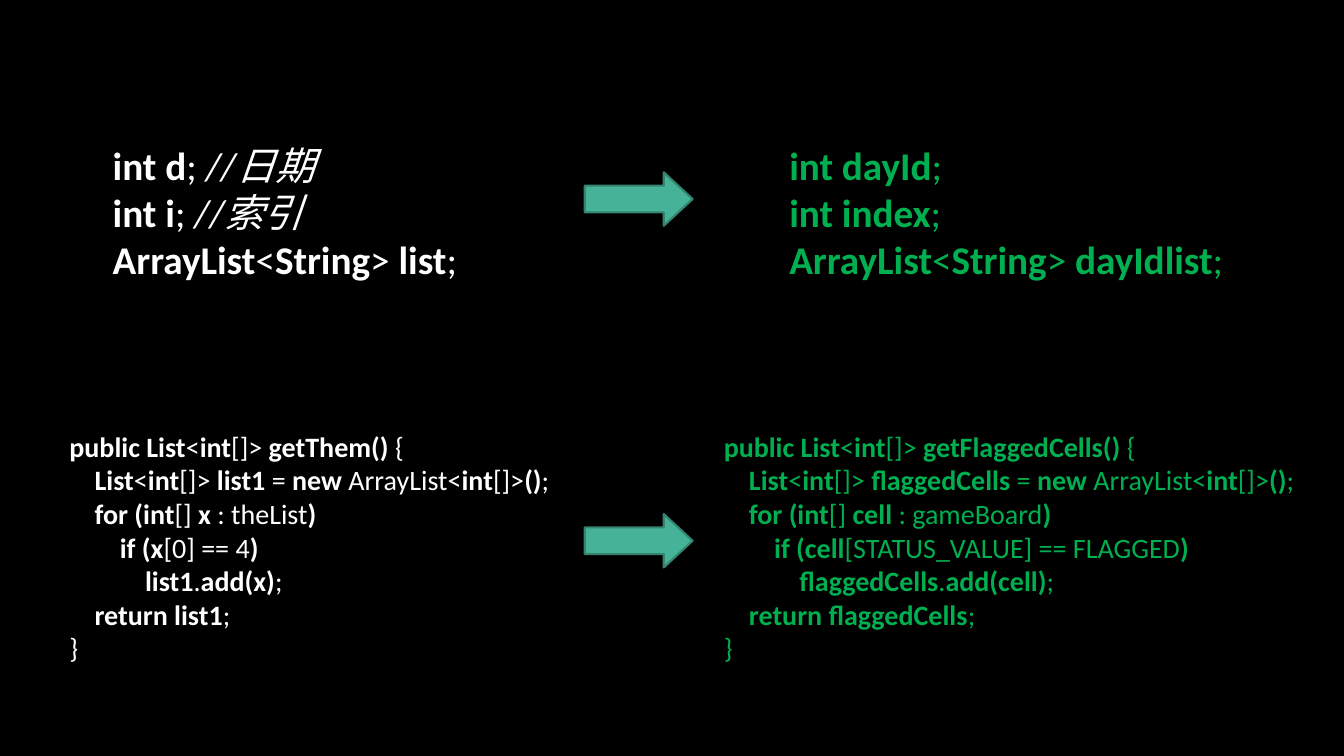
from pptx import Presentation
from pptx.dml.color import RGBColor
from pptx.enum import shapes, text
from pptx.util import Inches, Pt

WHITE, GREEN = "FFFFFF", "00B050"
ARROW_FILL, ARROW_LINE = "46B298", "348470"
INDENT = 0.25  # inches per code level

VAGUE_DECLARATIONS = [
    (0, "*int d*; **//日期"),
    (0, "*int i*; **//索引"),
    (0, "*ArrayList*<*String*> *list*;"),
]
CLEAR_DECLARATIONS = [
    (0, "*int dayId*;"),
    (0, "*int index*;"),
    (0, "*ArrayList*<*String*> *dayIdlist*;"),
]
METHOD = [
    (0, "*public List*<*int*[]> *%(method)s() *{"),
    (1, "*List*<*int*[]> *%(result)s *= *new *ArrayList<*int*[]>*()*;"),
    (1, "*for (int*[] *%(item)s *: %(source)s*)*"),
    (2, "*if (%(item)s*[%(index)s] == %(value)s*)*"),
    (3, "*%(result)s*.*add(%(item)s)*;"),
    (1, "*return %(result)s*;"),
    (0, "}"),
]
VAGUE_NAMES = {"method": "getThem", "result": "list1", "item": "x",
               "source": "theList", "index": "0", "value": "4"}
CLEAR_NAMES = {"method": "getFlaggedCells", "result": "flaggedCells",
               "item": "cell", "source": "gameBoard",
               "index": "STATUS_VALUE", "value": "FLAGGED"}


def rgb(value):
    return RGBColor.from_string(value)


def name_method(names):
    return [(level, line % names) for level, line in METHOD]


def add_code_line(paragraph, line, size, color):
    """Write one line; asterisks switch bold, and comments are italic."""
    for position, part in enumerate(line.split("*")):
        if not part:
            continue
        run = paragraph.add_run()
        run.text = part
        run.font.color.rgb = rgb(color)
        formats = {"name": "Calibri", "size": Pt(size),
                   "bold": position % 2 == 1, "italic": part.startswith("//")}
        for name, value in formats.items():
            setattr(run.font, name, value)


def add_code(slide, box, lines, size, color):
    shape = slide.shapes.add_textbox(*map(Inches, box))
    frame = shape.text_frame
    frame.word_wrap = True
    frame.auto_size = text.MSO_AUTO_SIZE.SHAPE_TO_FIT_TEXT
    for number, (level, line) in enumerate(lines):
        paragraph = frame.add_paragraph() if number else frame.paragraphs[0]
        if level:
            properties = paragraph._p.get_or_add_pPr()
            properties.set("marL", str(Inches(INDENT * level)))
            properties.set("indent", "0")
        add_code_line(paragraph, line, size, color)


def add_arrow(slide, top):
    arrow = slide.shapes.add_shape(
        shapes.MSO_SHAPE.RIGHT_ARROW,
        Inches(5.8), Inches(top), Inches(1.07), Inches(0.53))
    arrow.adjustments[1] = 0.54
    arrow.shadow.inherit = False
    arrow.fill.solid()
    arrow.fill.fore_color.rgb = rgb(ARROW_FILL)
    arrow.line.color.rgb = rgb(ARROW_LINE)
    arrow.line.width = Pt(1.5)


def main():
    presentation = Presentation()
    presentation.slide_width = Inches(13.33)
    presentation.slide_height = Inches(7.5)
    slide = presentation.slides.add_slide(presentation.slide_layouts[6])
    slide.background.fill.solid()
    slide.background.fill.fore_color.rgb = rgb("000000")

    add_code(slide, (1.02, 1.35, 4.57, 1.51), VAGUE_DECLARATIONS, 28, WHITE)
    add_code(slide, (7.73, 1.35, 4.78, 1.51), CLEAR_DECLARATIONS, 28, GREEN)
    add_arrow(slide, 1.71)
    add_code(slide, (0.59, 4.21, 5.9, 2.46), name_method(VAGUE_NAMES), 20, WHITE)
    add_code(slide, (7.08, 4.21, 6.25, 2.46), name_method(CLEAR_NAMES), 20, GREEN)
    add_arrow(slide, 5.1)

    presentation.save("out.pptx")


if __name__ == "__main__":
    main()
